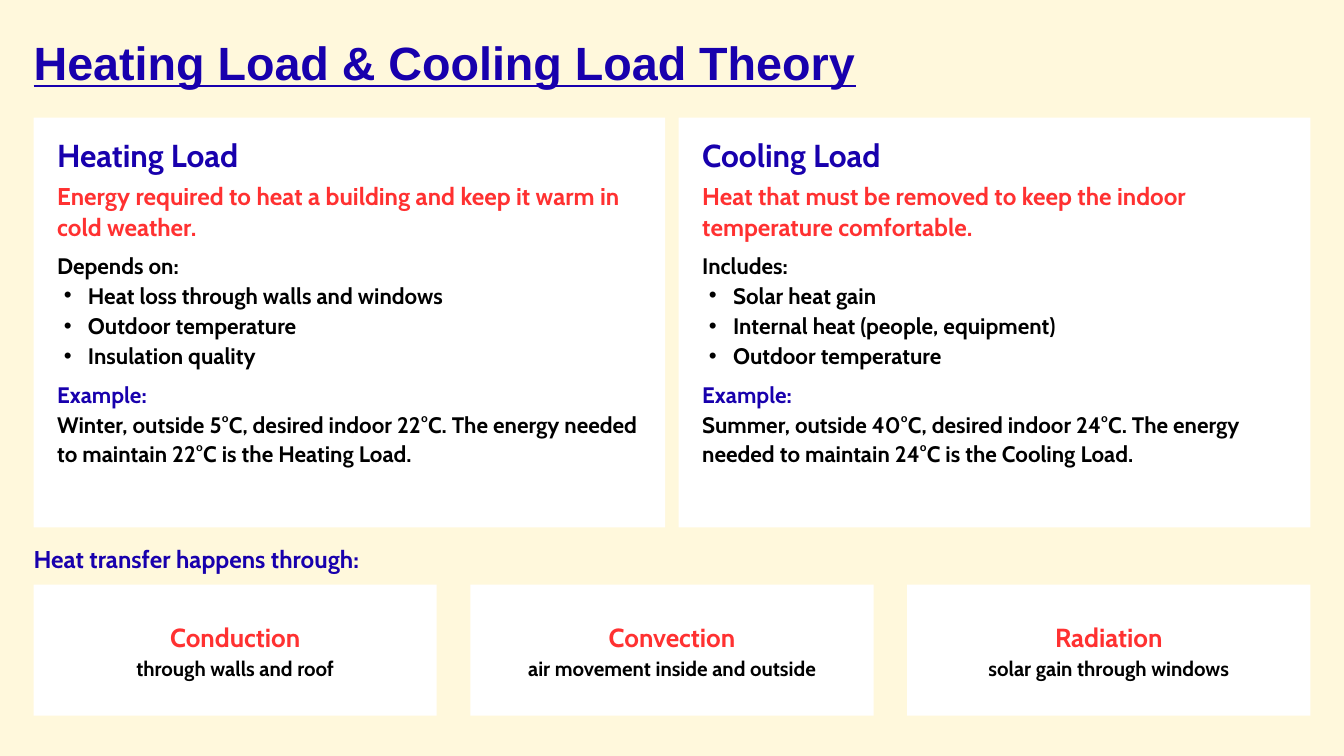
from dataclasses import dataclass

from lxml.etree import SubElement
from pptx import Presentation
from pptx.dml.color import RGBColor
from pptx.enum.shapes import MSO_SHAPE
from pptx.enum.text import MSO_ANCHOR, PP_ALIGN
from pptx.oxml.ns import qn
from pptx.shapes.base import BaseShape
from pptx.slide import Slide
from pptx.util import Inches, Pt

SLIDE_WIDTH, SLIDE_HEIGHT = 20, 11.25
MARGIN = SLIDE_WIDTH / 40
CONTENT_WIDTH = SLIDE_WIDTH - 2 * MARGIN
COLORS = {
    "background": "FFF8DC",
    "card": "FFFFFF",
    "heading": "1800AD",
    "accent": "FF3131",
    "body": "000000",
}


@dataclass(frozen=True)
class Area:
    left: float
    top: float
    width: float
    height: float


@dataclass(frozen=True)
class Grid:
    columns: int
    gap: float
    top: float
    height: float

    def cell(self, column: int) -> Area:
        width = (CONTENT_WIDTH - self.gap * (self.columns - 1)) / self.columns
        return Area(MARGIN + column * (width + self.gap), self.top, width, self.height)


@dataclass(frozen=True)
class Line:
    text: str
    size: int
    color: str = "body"
    before: int = 0
    after: int = 0
    bullet: bool = False
    spacing: float = 1.05
    font: str = "Cabin"
    underline: bool = False


@dataclass(frozen=True)
class Load:
    name: str
    definition: str
    list_label: str
    factors: tuple[str, ...]
    example: str

    def lines(self) -> list[Line]:
        return [
            Line(self.name, 34, "heading", after=6),
            Line(self.definition, 26, "accent", after=10),
            Line(self.list_label, 24, after=2),
            *(Line(factor, 24, after=2, bullet=True) for factor in self.factors),
            Line("Example:", 24, "heading", before=10, after=2),
            Line(self.example, 24),
        ]


@dataclass(frozen=True)
class Transfer:
    name: str
    description: str

    def lines(self) -> list[Line]:
        return [Line(self.name, 28, "accent", after=2), Line(self.description, 22)]


LOAD_GRID = Grid(columns=2, gap=0.2, top=1.75, height=6.1)
TRANSFER_GRID = Grid(columns=3, gap=0.5, top=8.7, height=1.95)
TITLE_AREA = Grid(columns=1, gap=0, top=0.3, height=1.25).cell(0)
TRANSFER_LABEL_AREA = Grid(columns=1, gap=0, top=8.05, height=0.5).cell(0)

LOADS = (
    Load(
        "Heating Load",
        "Energy required to heat a building and keep it warm in cold weather.",
        "Depends on:",
        ("Heat loss through walls and windows", "Outdoor temperature", "Insulation quality"),
        "Winter, outside 5°C, desired indoor 22°C. "
        "The energy needed to maintain 22°C is the Heating Load.",
    ),
    Load(
        "Cooling Load",
        "Heat that must be removed to keep the indoor temperature comfortable.",
        "Includes:",
        ("Solar heat gain", "Internal heat (people, equipment)", "Outdoor temperature"),
        "Summer, outside 40°C, desired indoor 24°C. "
        "The energy needed to maintain 24°C is the Cooling Load.",
    ),
)
TRANSFERS = (
    Transfer("Conduction", "through walls and roof"),
    Transfer("Convection", "air movement inside and outside"),
    Transfer("Radiation", "solar gain through windows"),
)


def color(name: str) -> RGBColor:
    return RGBColor.from_string(COLORS[name])


def write_lines(
    box: BaseShape,
    lines: list[Line],
    insets: tuple[float, float, float, float] = (0, 0, 0, 0),
    anchor: MSO_ANCHOR = MSO_ANCHOR.MIDDLE,
    alignment: PP_ALIGN = PP_ALIGN.LEFT,
) -> None:
    frame = box.text_frame
    frame.word_wrap = True
    frame.vertical_anchor = anchor
    frame.margin_left, frame.margin_top, frame.margin_right, frame.margin_bottom = map(
        Inches, insets
    )
    for index, line in enumerate(lines):
        paragraph = frame.add_paragraph() if index else frame.paragraphs[0]
        paragraph.text = line.text
        paragraph.alignment = alignment
        paragraph.line_spacing = line.spacing
        paragraph.space_before = Pt(line.before)
        paragraph.space_after = Pt(line.after)
        if line.bullet:
            properties = paragraph._p.get_or_add_pPr()
            properties.set("marL", str(Inches(0.46)))
            properties.set("indent", str(Inches(-0.36)))
            SubElement(properties, qn("a:buFont"), typeface="Arial")
            SubElement(properties, qn("a:buChar"), char="•")
        for span in paragraph.runs:
            span.font.name = line.font
            span.font.size = Pt(line.size)
            span.font.bold = True
            span.font.underline = line.underline
            span.font.color.rgb = color(line.color)


def bounds(area: Area) -> tuple[int, ...]:
    return tuple(map(Inches, (area.left, area.top, area.width, area.height)))


def add_label(page: Slide, area: Area, line: Line) -> None:
    write_lines(page.shapes.add_textbox(*bounds(area)), [line])


def add_card(page: Slide, area: Area) -> BaseShape:
    card = page.shapes.add_shape(MSO_SHAPE.RECTANGLE, *bounds(area))
    card.shadow.inherit = False
    card.fill.solid()
    card.fill.fore_color.rgb = color("card")
    card.line.fill.background()
    return card


def main() -> None:
    deck = Presentation()
    deck.slide_width, deck.slide_height = Inches(SLIDE_WIDTH), Inches(SLIDE_HEIGHT)
    page = deck.slides.add_slide(deck.slide_layouts[6])
    page.background.fill.solid()
    page.background.fill.fore_color.rgb = color("background")

    title = "Heating Load & Cooling Load Theory"
    add_label(
        page,
        TITLE_AREA,
        Line(title, 50, "heading", spacing=1.0, font="Arial", underline=True),
    )
    for column, load in enumerate(LOADS):
        card = add_card(page, LOAD_GRID.cell(column))
        write_lines(card, load.lines(), (0.35, 0.25, 0.35, 0.2), MSO_ANCHOR.TOP)
    add_label(page, TRANSFER_LABEL_AREA, Line("Heat transfer happens through:", 26, "heading"))
    for column, transfer in enumerate(TRANSFERS):
        card = add_card(page, TRANSFER_GRID.cell(column))
        write_lines(card, transfer.lines(), (0.2, 0.1, 0.2, 0.1), alignment=PP_ALIGN.CENTER)

    deck.save("out.pptx")


if __name__ == "__main__":
    main()
